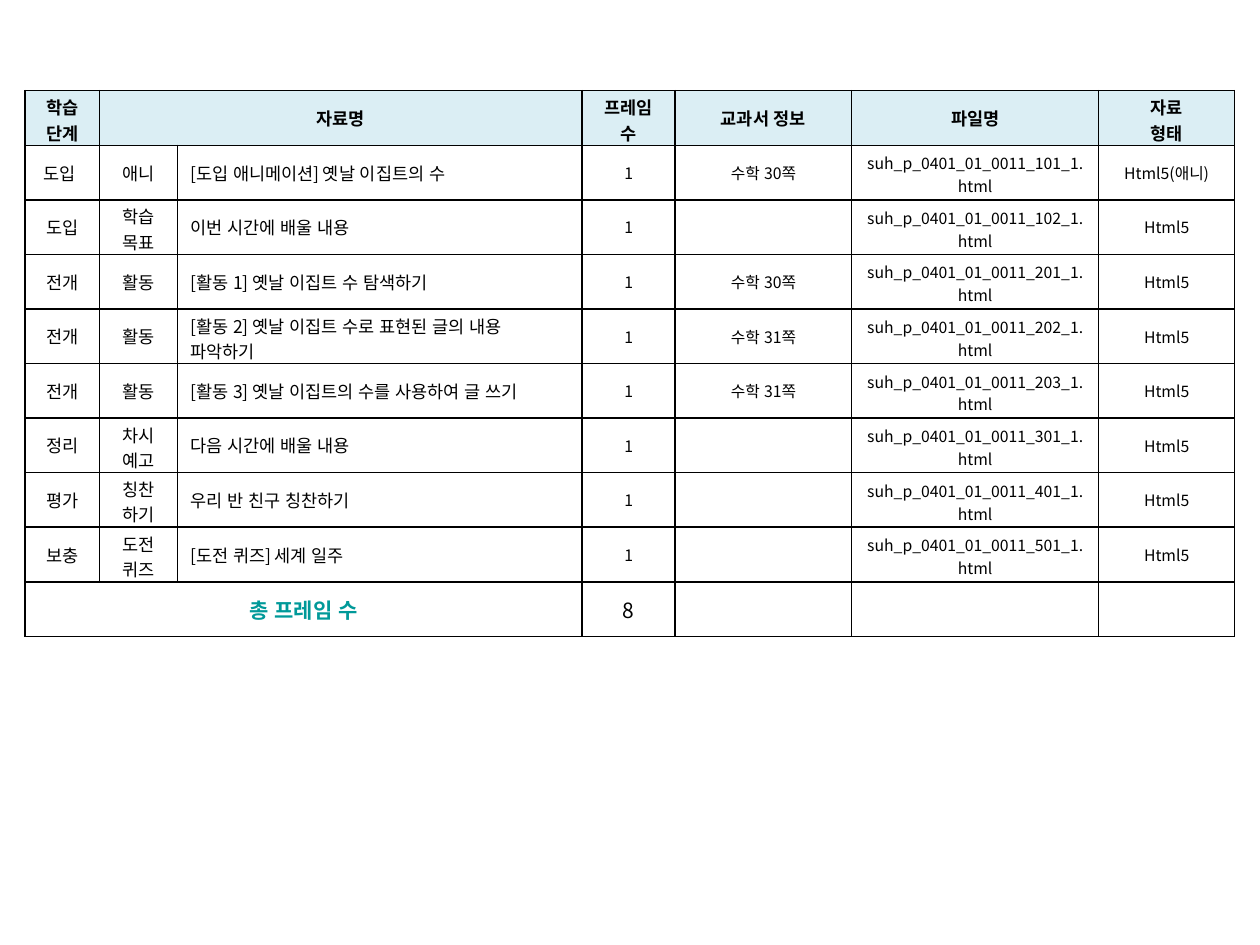
from dataclasses import dataclass

from lxml import etree
from pptx import Presentation
from pptx.dml.color import RGBColor
from pptx.enum.lang import MSO_LANGUAGE_ID
from pptx.enum.text import MSO_ANCHOR, PP_ALIGN
from pptx.oxml.ns import qn
from pptx.util import Inches, Pt

CENTER, LEFT = PP_ALIGN.CENTER, PP_ALIGN.LEFT
MIDDLE = MSO_ANCHOR.MIDDLE
KOREAN = MSO_LANGUAGE_ID.KOREAN
BLANK_LAYOUT = 6


@dataclass(frozen=True)
class Theme:
    font: str = "Noto Sans CJK KR"
    text: str = "000000"
    accent: str = "009999"
    header_fill: str = "DBEEF4"
    border: str = "000000"
    border_width: float = 1
    body_size: float = 10
    detail_size: float = 9
    total_size: float = 12


HEADERS = ["학습 단계", "자료명", "", "프레임 수", "교과서 정보", "파일명", "자료\n형태"]
# stage, kind, title, textbook page, file number, file type
MATERIALS = [
    ("도입 ", "애니", "[도입 애니메이션] 옛날 이집트의 수", "수학 30쪽", 101, "Html5(애니)"),
    ("도입", "학습 목표", "이번 시간에 배울 내용", "", 102, "Html5"),
    ("전개", "활동", "[활동 1] 옛날 이집트 수 탐색하기", "수학 30쪽", 201, "Html5"),
    ("전개", "활동", "[활동 2] 옛날 이집트 수로 표현된 글의 내용 파악하기", "수학 31쪽", 202, "Html5"),
    ("전개", "활동", "[활동 3] 옛날 이집트의 수를 사용하여 글 쓰기", "수학 31쪽", 203, "Html5"),
    ("정리", "차시 예고", "다음 시간에 배울 내용", "", 301, "Html5"),
    ("평가", "칭찬\n하기", "우리 반 친구 칭찬하기", "", 401, "Html5"),
    ("보충", "도전 퀴즈", "[도전 퀴즈] 세계 일주", "", 501, "Html5"),
]
COLUMN_WIDTHS = [0.59, 0.62, 3.21, 0.74, 1.4, 1.96, 1.08]
LINE_CAPACITIES = [3, 3, 28, 3, 10, 20, 12]  # characters on one line
TABLE_HEIGHT = 4.33
TITLE_COLUMN, FRAME_COLUMN = 2, 3


class SlideBuilder:
    def __init__(self, slide, theme):
        self.slide = slide
        self.theme = theme

    def add_table(self, left, top, column_widths, row_count, height):
        table = self.slide.shapes.add_table(
            row_count, len(column_widths), Inches(left), Inches(top),
            Inches(sum(column_widths)), Inches(height),
        ).table
        table.first_row = table.horz_banding = False
        for column, width in zip(table.columns, column_widths):
            column.width = Inches(width)
        for row in table.rows:
            row.height = Inches(height / row_count)
        return table

    def fill_cell(self, cell, text, size, color=None, bold=False, align=CENTER,
                  fill=None, two_lines=False):
        cell.vertical_anchor = MIDDLE
        self.set_vertical_margins(cell, size, two_lines)
        self.add_borders(cell)
        if fill:
            cell.fill.solid()
            cell.fill.fore_color.rgb = RGBColor.from_string(fill)
        else:
            cell.fill.background()
        cell.text_frame.text = text
        for paragraph in cell.text_frame.paragraphs:
            paragraph.alignment = align
            for run in paragraph.runs:
                self.format_run(run, size, color or self.theme.text, bold)
            if not paragraph.runs:
                # An empty cell needs its own size, or its row grows.
                end = etree.SubElement(paragraph._p, qn("a:endParaRPr"))
                end.set("sz", str(int(size * 100)))

    def set_vertical_margins(self, cell, size, two_lines):
        """Trim the margins of two-line cells so that all rows stay equal."""
        top = bottom = 0.05
        if two_lines:
            top, bottom = (0.05, 0.02) if size < self.theme.body_size else (0.03, 0)
        cell.margin_top, cell.margin_bottom = Inches(top), Inches(bottom)

    def format_run(self, run, size, color, bold):
        run.font.name = self.theme.font
        run.font.size = Pt(size)
        run.font.bold = bold
        run.font.language_id = KOREAN
        run.font.color.rgb = RGBColor.from_string(color)
        east_asian = etree.SubElement(run.font._element, qn("a:ea"))
        east_asian.set("typeface", self.theme.font)

    def add_borders(self, cell):
        properties = cell._tc.get_or_add_tcPr()
        for side in ("lnL", "lnR", "lnT", "lnB"):
            line = etree.SubElement(properties, qn(f"a:{side}"))
            line.set("w", str(Pt(self.theme.border_width)))
            solid = etree.SubElement(line, qn("a:solidFill"))
            etree.SubElement(solid, qn("a:srgbClr")).set("val", self.theme.border)


def takes_two_lines(text, column):
    return "\n" in text or len(text.strip()) > LINE_CAPACITIES[column]


def add_materials_table(builder):
    theme = builder.theme
    total_row = len(MATERIALS) + 1
    table = builder.add_table(0.2, 0.72, COLUMN_WIDTHS, total_row + 1, TABLE_HEIGHT)

    for column, text in enumerate(HEADERS):
        builder.fill_cell(table.cell(0, column), text, theme.body_size,
                          bold=True, fill=theme.header_fill,
                          two_lines=takes_two_lines(text, column))

    for row, (stage, kind, title, page, number, file_type) in enumerate(MATERIALS, 1):
        file_name = f"suh_p_0401_01_0011_{number}_1.html"
        for column, text in enumerate([stage, kind, title, "1", page, file_name, file_type]):
            builder.fill_cell(
                table.cell(row, column), text,
                theme.body_size if column < FRAME_COLUMN else theme.detail_size,
                align=LEFT if column == TITLE_COLUMN else CENTER,
                two_lines=takes_two_lines(text, column),
            )

    totals = ["총 프레임 수", "", "", str(len(MATERIALS)), "", "", ""]
    for column, text in enumerate(totals):
        is_label = column < FRAME_COLUMN
        builder.fill_cell(table.cell(total_row, column), text, theme.total_size,
                          color=theme.accent if is_label else theme.text, bold=is_label)

    table.cell(0, 1).merge(table.cell(0, TITLE_COLUMN))
    table.cell(total_row, 0).merge(table.cell(total_row, TITLE_COLUMN))


def main():
    presentation = Presentation()
    presentation.slide_width, presentation.slide_height = Inches(10), Inches(7.5)
    slide = presentation.slides.add_slide(presentation.slide_layouts[BLANK_LAYOUT])
    add_materials_table(SlideBuilder(slide, Theme()))
    presentation.save("out.pptx")


if __name__ == "__main__":
    main()
